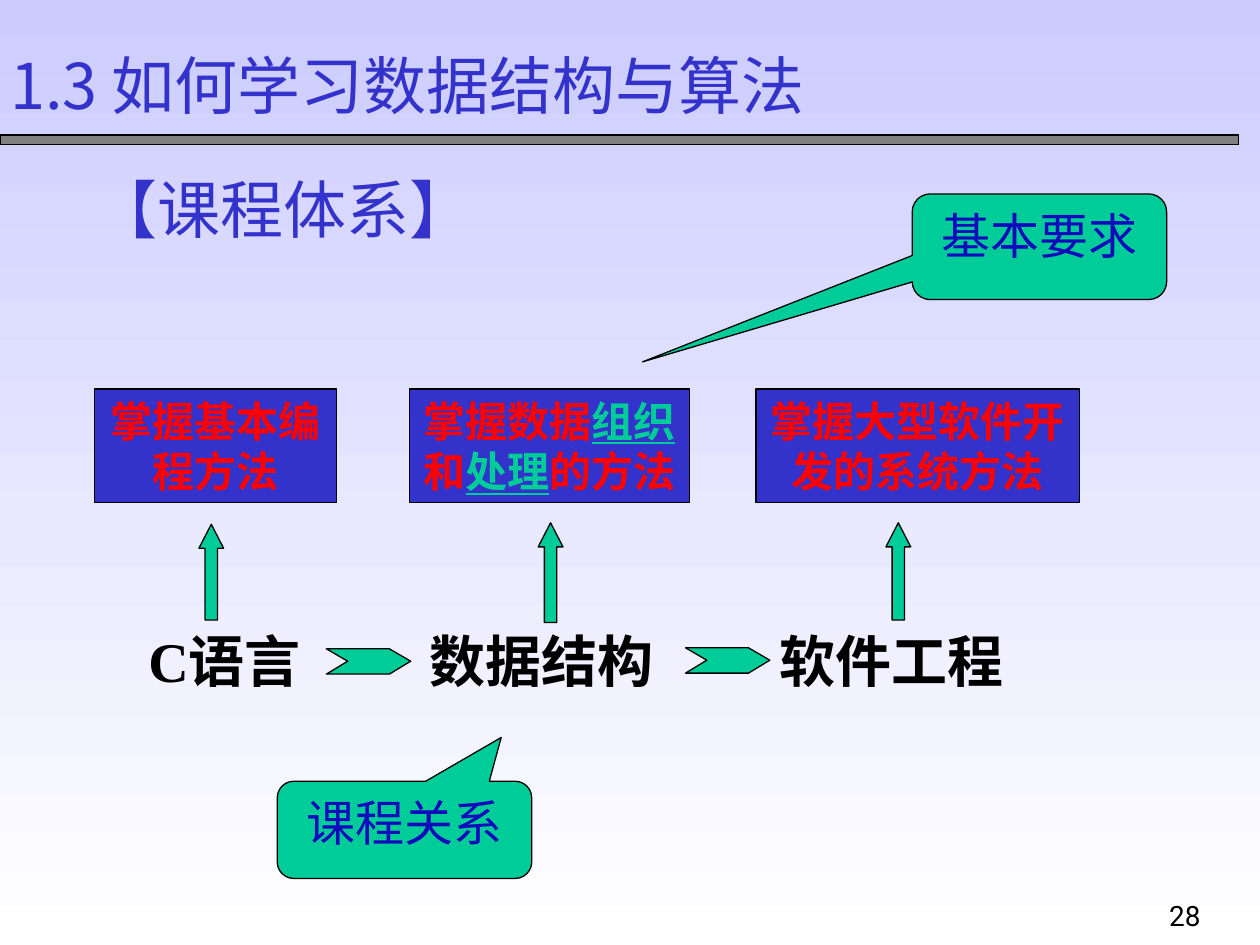
"""Build the slide on the course system around data structures."""
from lxml import etree
from pptx import Presentation
from pptx.dml.color import RGBColor
from pptx.enum.shapes import MSO_SHAPE
from pptx.enum.text import MSO_ANCHOR, MSO_AUTO_SIZE, PP_ALIGN
from pptx.oxml.ns import qn
from pptx.util import Cm, Pt

RECT = MSO_SHAPE.RECTANGLE
CALL = MSO_SHAPE.ROUNDED_RECTANGULAR_CALLOUT
ARROW = MSO_SHAPE.UP_ARROW
LEFT, MID = PP_ALIGN.LEFT, PP_ALIGN.CENTER
TOP, LOW = MSO_ANCHOR.TOP, MSO_ANCHOR.BOTTOM
FIXED = MSO_AUTO_SIZE.NONE
NOTO, SANS, SERIF = "Noto Sans CJK SC", "Roboto", "Times New Roman"
BLUE, GREEN, RED, BLACK = "3333CC", "00CC99", "FF0000", "000000"


def hue(code):
    return RGBColor.from_string(code)


def write(shape, runs, size, align=LEFT, anchor=TOP, bold=False):
    frame = shape.text_frame
    frame.word_wrap = True
    frame.auto_size = FIXED
    frame.vertical_anchor = anchor
    para = frame.paragraphs[0]
    para.alignment = align
    for text, face, code in runs:
        run = para.add_run()
        run.text = text
        font = run.font
        font.size, font.bold, font.name = Pt(size), bold, face
        font.color.rgb = hue(code)
        font.underline = code == GREEN
        etree.SubElement(run._r.get_or_add_rPr(), qn("a:ea"), typeface=NOTO)


deck = Presentation()
deck.slide_width, deck.slide_height = Cm(25.4), Cm(19.05)
slide = deck.slides.add_slide(deck.slide_layouts[5])
shapes = slide.shapes

back = slide.background.fill
back.gradient()
back.gradient_angle = 270
for stop, code, place in zip(back.gradient_stops, ("CCCCFF", "FFFFFF"), (0, 1)):
    stop.color.rgb = hue(code)
    stop.position = place

title = shapes.title
title.left, title.top, title.width, title.height = Cm(-0.05), Cm(0.81), Cm(17.83), Cm(1.78)
write(title, [("1.3 如何学习数据结构与算法", NOTO, BLUE)], 36)

bar = shapes.add_shape(RECT, 0, Cm(2.72), Cm(24.97), Cm(0.2))
drawn = [(bar, "808080")]

row = shapes.add_textbox(Cm(2.74), Cm(12.5), Cm(19.69), Cm(2.97))
props = row.text_frame.paragraphs[0]._p.get_or_add_pPr()
tabs = etree.SubElement(props, qn("a:tabLst"))
for stop in (5.66, 12.73):
    etree.SubElement(tabs, qn("a:tab"), pos=str(Cm(stop)), algn="l")
write(row, [("C语言\t数据结构\t软件工程", SERIF, BLACK)], 32, bold=True)

goals = [
    (1.9, 4.88, [("掌握基本编程方法", RED)]),
    (8.26, 5.64, [("掌握数据", RED), ("组织", GREEN), ("和", RED),
                  ("处理", GREEN), ("的方法", RED)]),
    (15.24, 6.53, [("掌握大型软件开发的系统方法", RED)]),
]
for left, width, parts in goals:
    box = shapes.add_shape(RECT, Cm(left), Cm(7.84), Cm(width), Cm(2.29))
    write(box, [(text, SERIF, code) for text, code in parts], 24, MID, bold=True)
    drawn.append((box, BLUE))

notes = [
    ("基本要求", 18.39, 3.91, 2.13, (-1.56, 1.09, 0.17)),
    ("课程关系", 5.59, 15.75, 1.96, (0.38, -0.95, 0.17)),
]
for text, left, top, height, bends in notes:
    note = shapes.add_shape(CALL, Cm(left), Cm(top), Cm(5.13), Cm(height))
    for spot, bend in enumerate(bends):
        note.adjustments[spot] = bend
    write(note, [(text, SERIF, "1209BD")], 28, MID)
    drawn.append((note, GREEN))

for left, top, height in ((4.01, 10.57, 1.93), (10.85, 10.54, 2.01), (17.86, 10.54, 1.96)):
    arrow = shapes.add_shape(ARROW, Cm(left), Cm(top), Cm(0.5), Cm(height))
    arrow.adjustments[1] = 0.97
    drawn.append((arrow, GREEN))

edge = [(1.27, 0), (1.7, 0.25), (1.27, 0.51), (0, 0.51), (0.43, 0.25)]
for left, top in ((6.58, 13.08), (13.82, 13.06)):
    pen = shapes.build_freeform(Cm(left), Cm(top))
    pen.add_line_segments([(Cm(left + x), Cm(top + y)) for x, y in edge])
    drawn.append((pen.convert_to_shape(), GREEN))

for shape, code in drawn:
    shape.shadow.inherit = False
    shape.fill.solid()
    shape.fill.fore_color.rgb = hue(code)
    shape.line.color.rgb = hue(BLACK)
    shape.line.width = Pt(0.75)

page = shapes.add_textbox(Cm(23.32), Cm(17.98), Cm(1.8), Cm(1.07))
write(page, [("28", SANS, BLACK)], 16)

head = shapes.add_textbox(Cm(1.65), Cm(3.81), Cm(8.86), Cm(1.27))
write(head, [("【", NOTO, BLUE), ("课程体系", SANS, BLUE), ("】", NOTO, BLUE)], 36, anchor=LOW)

deck.save("out.pptx")
